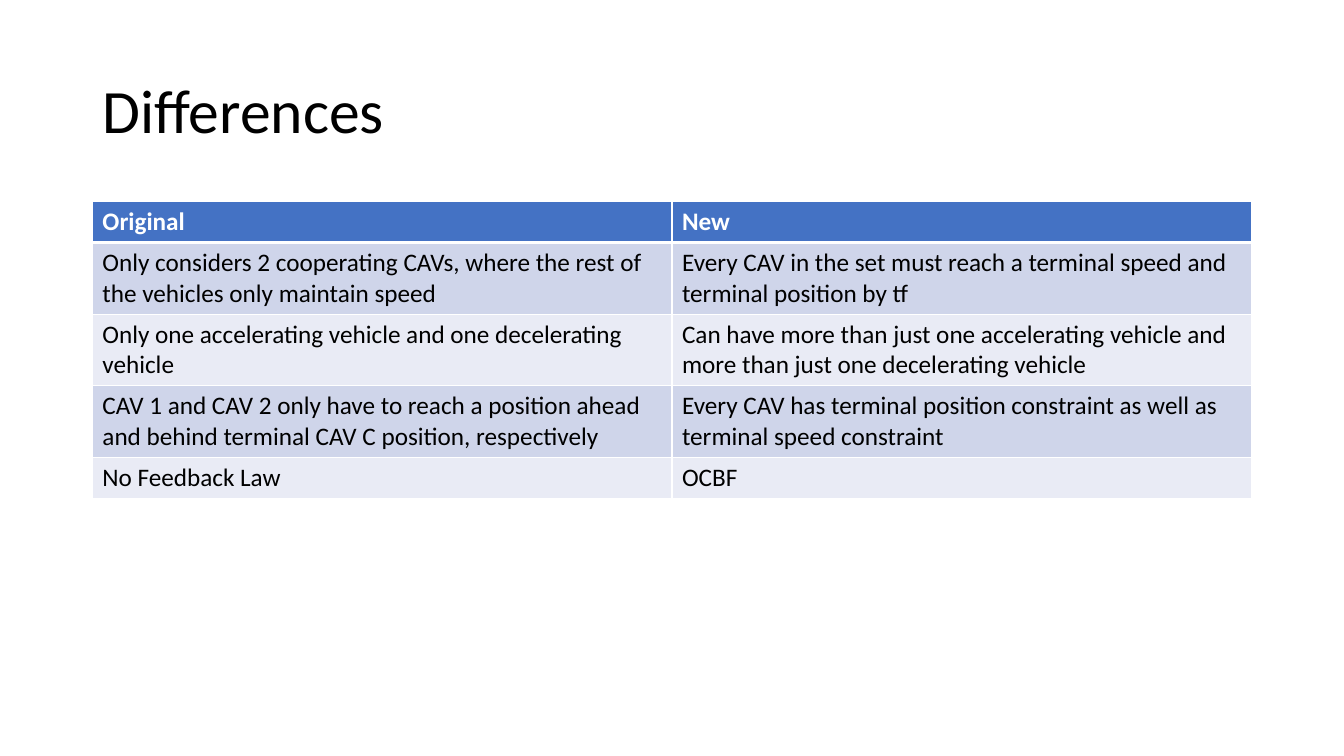
from lxml import etree
from pptx import Presentation
from pptx.dml.color import RGBColor
from pptx.enum import text
from pptx.oxml import ns
from pptx.util import Pt

FONT = "Calibri"
BLACK = RGBColor(0x00, 0x00, 0x00)
WHITE = RGBColor(0xFF, 0xFF, 0xFF)
BLUE = RGBColor(0x44, 0x72, 0xC4)
BANDS = (RGBColor(0xCF, 0xD5, 0xEA), RGBColor(0xE9, 0xEB, 0xF5))

LEFT, WIDTH = Pt(66), Pt(828)
ONE_LINE, TWO_LINES = Pt(29.2), Pt(50.4)

ROWS = [
    ("Original", "New"),
    ("Only considers 2 cooperating CAVs, where the rest of the vehicles only maintain speed",
     "Every CAV in the set must reach a terminal speed and terminal position by tf"),
    ("Only one accelerating vehicle and one decelerating vehicle",
     "Can have more than just one accelerating vehicle and more than just one decelerating vehicle"),
    ("CAV 1 and CAV 2 only have to reach a position ahead and behind terminal CAV C position, respectively",
     "Every CAV has terminal position constraint as well as terminal speed constraint"),
    ("No Feedback Law", "OCBF"),
]
HEIGHTS = [ONE_LINE, TWO_LINES, TWO_LINES, TWO_LINES, ONE_LINE]


def write(tf, content, size=18, color=BLACK, bold=False, spacing=1.0):
    p = tf.paragraphs[0]
    p.alignment = text.PP_ALIGN.LEFT
    p.line_spacing = spacing
    r = p.add_run()
    r.text = content
    r.font.name, r.font.size, r.font.bold = FONT, Pt(size), bold
    r.font.color.rgb = color


def set_borders(cell, top=1, bottom=1):
    """Draw white cell borders; they precede the fill in the cell properties."""
    tc_pr = cell._tc.get_or_add_tcPr()
    widths = {"lnL": 1, "lnR": 1, "lnT": top, "lnB": bottom}
    for i, (side, width) in enumerate(widths.items()):
        ln = etree.Element(ns.qn(f"a:{side}"), w=str(Pt(width)))
        fill = etree.SubElement(ln, ns.qn("a:solidFill"))
        etree.SubElement(fill, ns.qn("a:srgbClr"), val=str(WHITE))
        tc_pr.insert(i, ln)


def add_title(slide, content):
    sp = slide.shapes.title
    sp.left, sp.top, sp.width, sp.height = LEFT, Pt(28.75), WIDTH, Pt(104.4)
    sp.text_frame.vertical_anchor = text.MSO_ANCHOR.MIDDLE
    write(sp.text_frame, content, size=44, spacing=0.9)


def add_comparison(slide, rows, heights):
    frame = slide.shapes.add_table(len(rows), len(rows[0]), LEFT, Pt(144), WIDTH, sum(heights))
    table = frame.table
    for i, (row, height) in enumerate(zip(rows, heights)):
        table.rows[i].height = height
        header = i == 0
        for j, content in enumerate(row):
            cell = table.cell(i, j)
            cell.fill.solid()
            cell.fill.fore_color.rgb = BLUE if header else BANDS[(i - 1) % 2]
            set_borders(cell, top=3 if i == 1 else 1, bottom=3 if header else 1)
            write(cell.text_frame, content, color=WHITE if header else BLACK, bold=header)


def main():
    prs = Presentation()
    prs.slide_width, prs.slide_height = Pt(960), Pt(540)
    slide = prs.slides.add_slide(prs.slide_layouts[5])

    # Heading
    add_title(slide, "Differences")

    # Comparison table
    add_comparison(slide, ROWS, HEIGHTS)

    prs.save("out.pptx")


if __name__ == "__main__":
    main()
